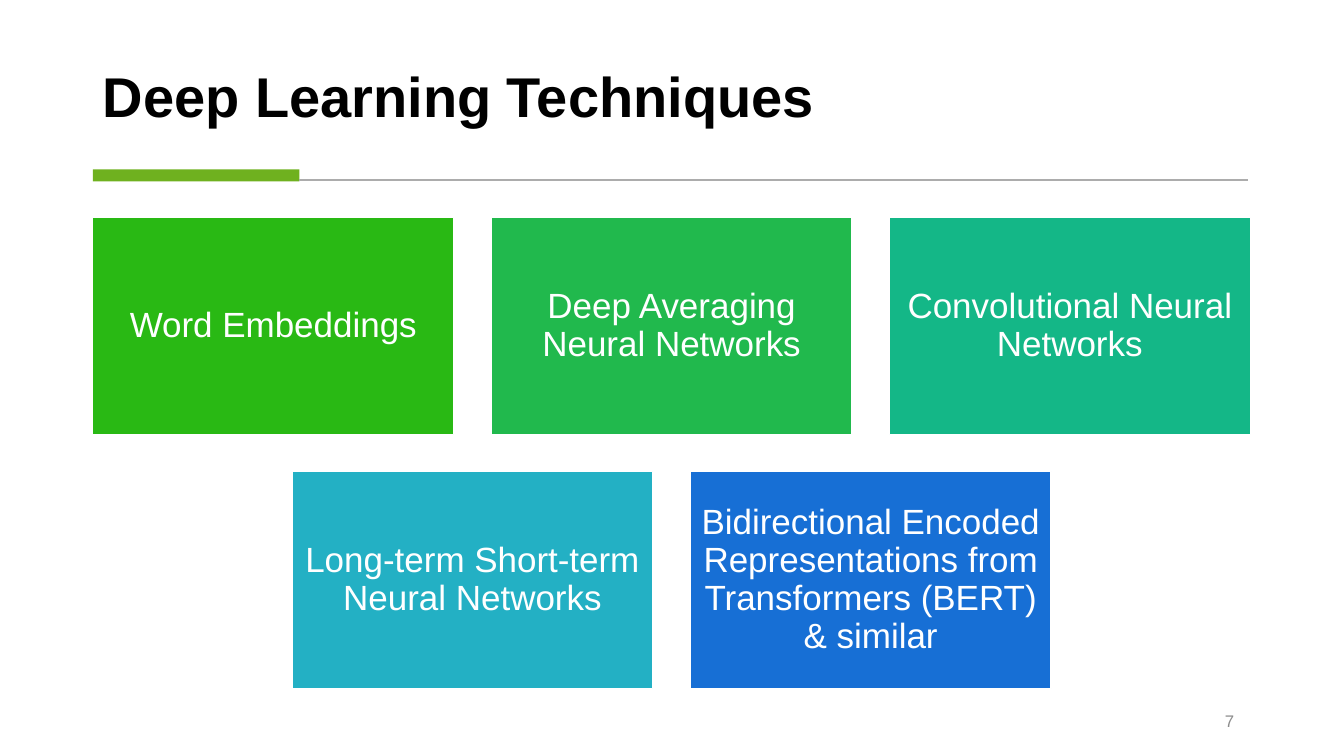
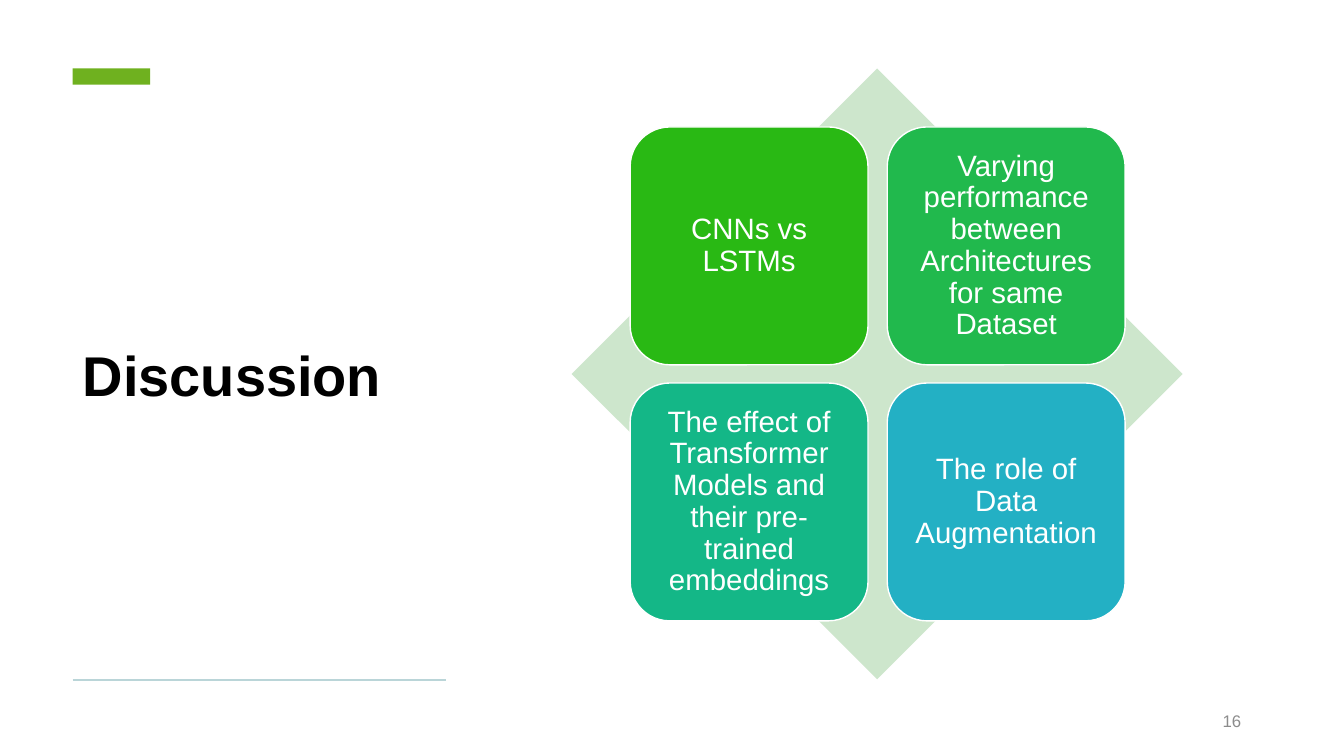
"""Build two slides on deep learning techniques and their discussion."""
import dataclasses
import typing

import lxml.etree
import pptx
import pptx.dml.color
import pptx.enum.shapes
import pptx.enum.text
import pptx.oxml.ns
import pptx.util

Inches = pptx.util.Inches
Pt = pptx.util.Pt
RGBColor = pptx.dml.color.RGBColor
Shapes = pptx.enum.shapes.MSO_SHAPE
Align = pptx.enum.text.PP_ALIGN
Anchor = pptx.enum.text.MSO_ANCHOR

WHITE = RGBColor(0xFF, 0xFF, 0xFF)
BLACK = RGBColor(0x00, 0x00, 0x00)
ACCENT = RGBColor(0x6F, 0xB1, 0x1F)
GREY_RULE = RGBColor(0xAC, 0xAC, 0xAC)
TEAL_RULE = RGBColor(0xBA, 0xD5, 0xD8)
NUMBER_GREY = RGBColor(0x8C, 0x8C, 0x8C)
PALE_GREEN = RGBColor(0xCD, 0xE6, 0xCC)
CARD_COLOURS = (
    RGBColor(0x29, 0xB9, 0x14),
    RGBColor(0x21, 0xB9, 0x4D),
    RGBColor(0x14, 0xB7, 0x87),
    RGBColor(0x23, 0xB0, 0xC4),
    RGBColor(0x17, 0x6F, 0xD5),
)

TECHNIQUES = (
    ("Word Embeddings", "Deep Averaging Neural Networks", "Convolutional Neural Networks"),
    (
        "Long-term Short-term Neural Networks",
        "Bidirectional Encoded Representations from Transformers (BERT) & similar",
    ),
)
TOPICS = (
    ("CNNs vs LSTMs", "Varying performance between Architectures for same Dataset"),
    (
        "The effect of Transformer Models and their pre-trained embeddings",
        "The role of Data Augmentation",
    ),
)


@dataclasses.dataclass(frozen=True)
class Area:
    """Position and size in inches."""

    left: float
    top: float
    width: float
    height: float

    def lengths(self) -> tuple[pptx.util.Length, ...]:
        """Return the four values as lengths."""
        return tuple(Inches(value) for value in dataclasses.astuple(self))


@dataclasses.dataclass(frozen=True)
class TextStyle:
    """Size, colour and placement of a text."""

    size: float
    colour: RGBColor
    align: Align
    bold: bool = False
    anchor: Anchor = Anchor.MIDDLE
    spacing: float = 0.9
    inset: float = 0.1


@dataclasses.dataclass(frozen=True)
class CardGrid:
    """Rows of equal cards, each row centred under the first."""

    first: Area
    column_step: float
    row_step: float
    outline: Shapes
    style: TextStyle


TITLE = TextStyle(40, BLACK, Align.LEFT, bold=True)
TITLE_LOW = dataclasses.replace(TITLE, anchor=Anchor.BOTTOM)
NUMBER = TextStyle(12, NUMBER_GREY, Align.RIGHT, spacing=1.0)
TECHNIQUE_GRID = CardGrid(
    Area(0.92, 2.16, 3.58, 2.15), 3.95, 2.52, Shapes.RECTANGLE,
    TextStyle(25, WHITE, Align.CENTER),
)
TOPIC_GRID = CardGrid(
    Area(6.25, 1.26, 2.36, 2.36), 2.55, 2.54, Shapes.ROUNDED_RECTANGLE,
    TextStyle(21, WHITE, Align.CENTER, inset=0.09),
)


def apply_format(target: typing.Any, values: dict[str, typing.Any]) -> None:
    """Set each named attribute of the target."""
    for name, value in values.items():
        setattr(target, name, value)


def write_text(box: typing.Any, text: str, style: TextStyle) -> None:
    """Fill a shape with one formatted paragraph."""
    frame = box.text_frame
    sides = ("margin_left", "margin_top", "margin_right", "margin_bottom")
    insets = {side: Inches(style.inset) for side in sides}
    apply_format(frame, {
        "word_wrap": True,
        "auto_size": pptx.enum.text.MSO_AUTO_SIZE.NONE,
        "vertical_anchor": style.anchor,
        **insets,
    })
    para = frame.paragraphs[0]
    apply_format(para, {"alignment": style.align, "line_spacing": style.spacing})
    span = para.add_run()
    span.text = text
    apply_format(span.font, {"name": "Arial", "size": Pt(style.size), "bold": style.bold})
    span.font.color.rgb = style.colour


def add_block(
    page: typing.Any, outline: Shapes, area: Area, fill: RGBColor,
    border: RGBColor | None = None,
) -> typing.Any:
    """Draw a filled shape with an optional border."""
    box = page.shapes.add_shape(outline, *area.lengths())
    box.shadow.inherit = False
    box.fill.solid()
    box.fill.fore_color.rgb = fill
    if border is None:
        box.line.fill.background()
    else:
        box.line.color.rgb = border
        box.line.width = Pt(1)
    return box


def add_rule(page: typing.Any, left: float, top: float, width: float, colour: RGBColor) -> None:
    """Draw a thin horizontal line."""
    rule = page.shapes.add_connector(
        pptx.enum.shapes.MSO_CONNECTOR.STRAIGHT,
        Inches(left), Inches(top), Inches(left + width), Inches(top),
    )
    rule.line.color.rgb = colour
    rule.line.width = Pt(1.5)
    properties = rule.element.find(pptx.oxml.ns.qn("p:spPr"))
    lxml.etree.SubElement(properties, pptx.oxml.ns.qn("a:effectLst"))


def add_cards(page: typing.Any, rows: tuple[tuple[str, ...], ...], grid: CardGrid) -> None:
    """Place the labelled cards, colouring them in reading order."""
    colours = iter(CARD_COLOURS)
    for row, labels in enumerate(rows):
        indent = (len(rows[0]) - len(labels)) * grid.column_step / 2
        for column, label in enumerate(labels):
            area = dataclasses.replace(
                grid.first,
                left=grid.first.left + indent + column * grid.column_step,
                top=grid.first.top + row * grid.row_step,
            )
            card = add_block(page, grid.outline, area, next(colours), WHITE)
            write_text(card, label, grid.style)


def add_page(
    deck: typing.Any, title: str, title_area: Area, style: TextStyle,
    accent: Area, number: str, number_right: float,
) -> typing.Any:
    """Add a slide with its title, accent bar and page number."""
    page = deck.slides.add_slide(deck.slide_layouts[5])
    page.background.fill.solid()
    page.background.fill.fore_color.rgb = WHITE
    heading = page.shapes.title
    apply_format(heading, dict(zip(("left", "top", "width", "height"), title_area.lengths())))
    write_text(heading, title, style)
    add_block(page, Shapes.RECTANGLE, accent, ACCENT)
    number_area = Area(number_right - 3, 6.95, 3, 0.4)
    write_text(page.shapes.add_textbox(*number_area.lengths()), number, NUMBER)
    return page


def add_techniques(deck: typing.Any) -> None:
    """Add the slide of five techniques."""
    page = add_page(
        deck, "Deep Learning Techniques", Area(0.92, 0.28, 11.49, 1.11), TITLE_LOW,
        Area(0.92, 1.68, 2.05, 0.12), "7", 12.34,
    )
    add_rule(page, 2.97, 1.79, 9.41, GREY_RULE)
    add_cards(page, TECHNIQUES, TECHNIQUE_GRID)


def add_discussion(deck: typing.Any) -> None:
    """Add the slide of four topics over a diamond."""
    page = add_page(
        deck, "Discussion", Area(0.72, 1.05, 3.7, 5.41), TITLE,
        Area(0.72, 0.68, 0.77, 0.16), "16", 12.41,
    )
    add_rule(page, 0.72, 6.75, 3.7, TEAL_RULE)
    add_block(page, Shapes.DIAMOND, Area(5.67, 0.68, 6.06, 6.06), PALE_GREEN)
    add_cards(page, TOPICS, TOPIC_GRID)


def main() -> None:
    """Build and save the deck."""
    deck = pptx.Presentation()
    apply_format(deck, {"slide_width": Inches(13.33), "slide_height": Inches(7.5)})
    add_techniques(deck)
    add_discussion(deck)
    deck.save("out.pptx")


if __name__ == "__main__":
    main()
